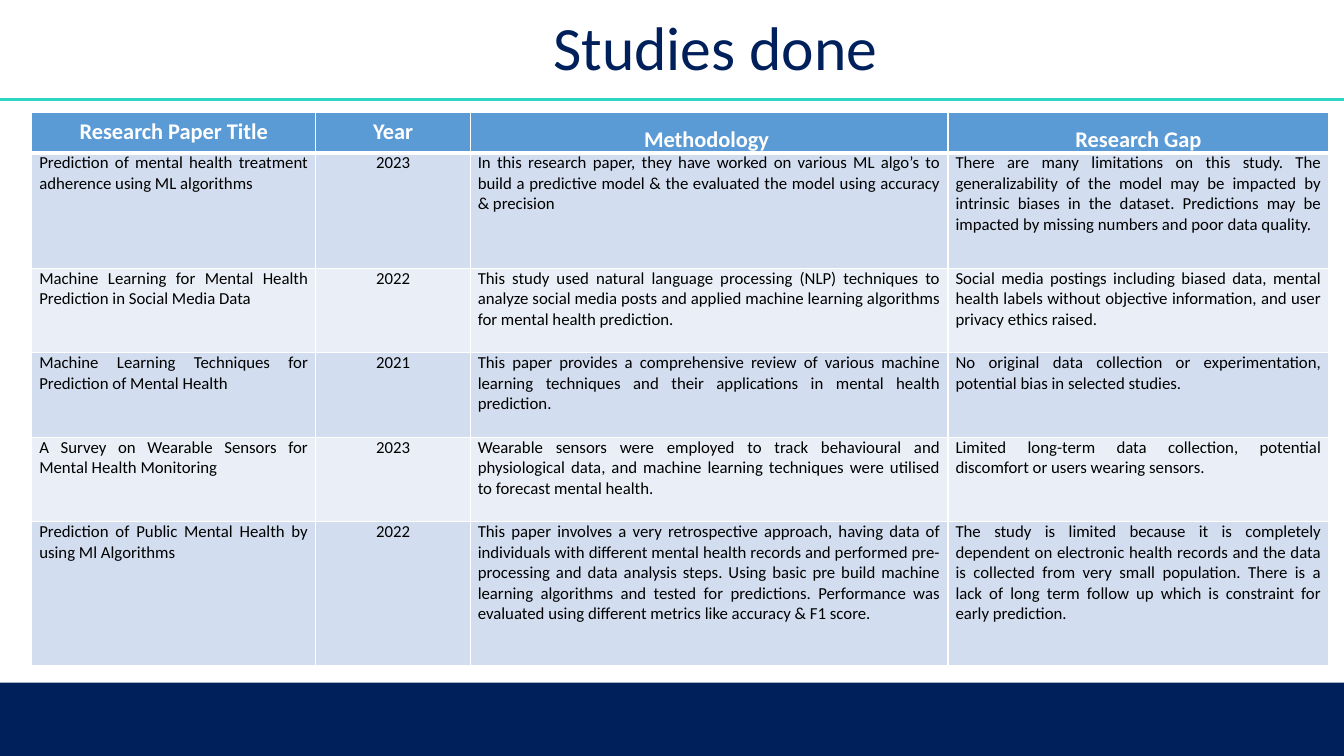
"""Build the slide that tabulates earlier studies on mental health prediction."""
from dataclasses import astuple, dataclass

import lxml.etree
import pptx
import pptx.dml.color
import pptx.enum.shapes
import pptx.enum.text
import pptx.oxml.ns
import pptx.slide
import pptx.table
import pptx.text.text
import pptx.util

Cm = pptx.util.Cm
Pt = pptx.util.Pt
ALIGN = pptx.enum.text.PP_ALIGN
MIDDLE = pptx.enum.text.MSO_ANCHOR.MIDDLE

COLORS = {
    "navy": "00205B",
    "teal": "2CD5C4",
    "header": "5B9BD5",
    "odd": "D2DEEF",
    "even": "EAEFF7",
    "white": "FFFFFF",
    "black": "000000",
}
FONTS = {
    "title": {"name": "Calibri", "size": Pt(44), "bold": False},
    "header": {"name": "Calibri", "size": Pt(16), "bold": True},
    "body": {"name": "Calibri", "size": Pt(12), "bold": False},
}
SLIM_MARGINS = {
    "margin_left": Cm(0.19),
    "margin_right": Cm(0.19),
    "margin_top": 0,
    "margin_bottom": 0,
}
COLUMN_WIDTHS = (7.16, 3.89, 12.04, 9.6)
ROW_HEIGHTS = (0.94, 2.9, 2.13, 2.13, 2.13, 3.63)


@dataclass(frozen=True)
class Study:
    title: str
    year: str
    methodology: str
    gap: str


HEADINGS = Study("Research Paper Title", "Year", "Methodology ", "Research Gap")
STUDIES = (
    Study(
        "Prediction of mental health treatment adherence using ML algorithms ",
        "2023",
        "In this research paper, they have worked on various ML algo’s to build a "
        "predictive model & the evaluated the model using accuracy & precision",
        "There are many limitations on this study. The generalizability of the model "
        "may be impacted by intrinsic biases in the dataset. Predictions may be "
        "impacted by missing numbers and poor data quality. ",
    ),
    Study(
        "Machine Learning for Mental Health Prediction in Social Media Data ",
        "2022",
        "This study used natural language processing (NLP) techniques to analyze "
        "social media posts and applied machine learning algorithms for mental "
        "health prediction.",
        "Social media postings including biased data, mental health labels without "
        "objective information, and user privacy ethics raised.",
    ),
    Study(
        "Machine Learning Techniques for Prediction of Mental Health",
        "2021",
        "This paper provides a comprehensive review of various machine learning "
        "techniques and their applications in mental health prediction.",
        "No original data collection or experimentation, potential bias in selected "
        "studies.",
    ),
    Study(
        "A Survey on Wearable Sensors for Mental Health Monitoring",
        "2023",
        "Wearable sensors were employed to track behavioural and physiological data, "
        "and machine learning techniques were utilised to forecast mental health.",
        "Limited long-term data collection, potential discomfort or users wearing "
        "sensors.",
    ),
    Study(
        "Prediction of Public Mental Health by using Ml Algorithms",
        "2022",
        "This paper involves a very retrospective approach, having data of individuals "
        "with different mental health records and performed pre-processing and data "
        "analysis steps. Using basic pre build machine learning algorithms and tested "
        "for predictions. Performance was evaluated using different metrics like "
        "accuracy & F1 score. ",
        "The study is limited because it is completely dependent on electronic health "
        "records and the data is collected from very small population. There is a lack "
        "of long term follow up which is constraint for early prediction. ",
    ),
)


def rgb(color: str) -> pptx.dml.color.RGBColor:
    """Return the named colour."""
    return pptx.dml.color.RGBColor.from_string(COLORS[color])


def apply(target: object, values: dict) -> None:
    """Set each format value on the target."""
    for name, value in values.items():
        setattr(target, name, value)


def write(paragraph: pptx.text.text._Paragraph, text: str, font: str, color: str,
          align: ALIGN, spacing: float = 1.0) -> None:
    """Write one formatted run into the paragraph."""
    apply(paragraph, {"alignment": align, "line_spacing": spacing})
    run = paragraph.add_run()
    run.text = text
    apply(run.font, FONTS[font])
    run.font.color.rgb = rgb(color)


def add_frame(slide: pptx.slide.Slide, width: int) -> None:
    """Draw the teal rule under the title and the navy footer band."""
    rule = slide.shapes.add_connector(
        pptx.enum.shapes.MSO_CONNECTOR.STRAIGHT, 0, Cm(2.51), width, Cm(2.51))
    rule.line.color.rgb = rgb("teal")
    rule.line.width = Pt(2)
    lxml.etree.SubElement(rule._element.spPr, pptx.oxml.ns.qn("a:effectLst"))
    footer = slide.shapes.add_shape(
        pptx.enum.shapes.MSO_SHAPE.RECTANGLE, 0, Cm(17.2), width, Cm(1.85))
    footer.shadow.inherit = False
    footer.fill.solid()
    footer.fill.fore_color.rgb = rgb("navy")
    footer.line.fill.background()


def add_title(slide: pptx.slide.Slide) -> None:
    """Place the slide title."""
    title = slide.shapes.add_textbox(Cm(6.86), Cm(0.36), Cm(22.35), Cm(1.83))
    apply(title.text_frame, {"word_wrap": True, "vertical_anchor": MIDDLE})
    write(title.text_frame.paragraphs[0], "Studies done", "title", "navy",
          ALIGN.CENTER, 0.9)


def add_borders(cell: pptx.table._Cell, top: float, bottom: float) -> None:
    """Give the cell white borders, with the given top and bottom widths."""
    qn = pptx.oxml.ns.qn
    properties = cell._tc.get_or_add_tcPr()
    widths = {"lnL": 1, "lnR": 1, "lnT": top, "lnB": bottom}
    for position, (side, width) in enumerate(widths.items()):
        border = lxml.etree.Element(qn(f"a:{side}"), w=str(Pt(width)))
        fill = lxml.etree.SubElement(border, qn("a:solidFill"))
        lxml.etree.SubElement(fill, qn("a:srgbClr"), val=COLORS["white"])
        properties.insert(position, border)


def fill_cell(cell: pptx.table._Cell, text: str, row: int, column: int) -> None:
    """Fill one cell by the rules of its row and column."""
    is_header = row == 0
    is_slim = not is_header or column > 1
    cell.fill.solid()
    cell.fill.fore_color.rgb = rgb(
        "header" if is_header else "odd" if row % 2 else "even")
    add_borders(cell, top=3 if row == 1 else 1, bottom=3 if is_header else 1)
    if is_slim:
        apply(cell, SLIM_MARGINS)
    write(cell.text_frame.paragraphs[0], text,
          "header" if is_header else "body",
          "white" if is_header else "black",
          ALIGN.CENTER if is_header or column == 1 else ALIGN.JUSTIFY,
          1.5 if is_header and is_slim else 1.0)


def add_studies(slide: pptx.slide.Slide) -> None:
    """Draw the table of studies."""
    studies = slide.shapes.add_table(
        len(ROW_HEIGHTS), len(COLUMN_WIDTHS), Cm(0.8), Cm(2.84),
        Cm(sum(COLUMN_WIDTHS)), Cm(sum(ROW_HEIGHTS))).table
    for column, width in zip(studies.columns, COLUMN_WIDTHS):
        column.width = Cm(width)
    for row, height in zip(studies.rows, ROW_HEIGHTS):
        row.height = Cm(height)
    for row, study in enumerate((HEADINGS, *STUDIES)):
        for column, text in enumerate(astuple(study)):
            fill_cell(studies.cell(row, column), text, row, column)


def main() -> None:
    """Build and save the presentation."""
    deck = pptx.Presentation()
    apply(deck, {"slide_width": Cm(33.87), "slide_height": Cm(19.05)})
    slide = deck.slides.add_slide(deck.slide_layouts[6])
    add_frame(slide, deck.slide_width)
    add_title(slide)
    add_studies(slide)
    deck.save("out.pptx")


if __name__ == "__main__":
    main()
